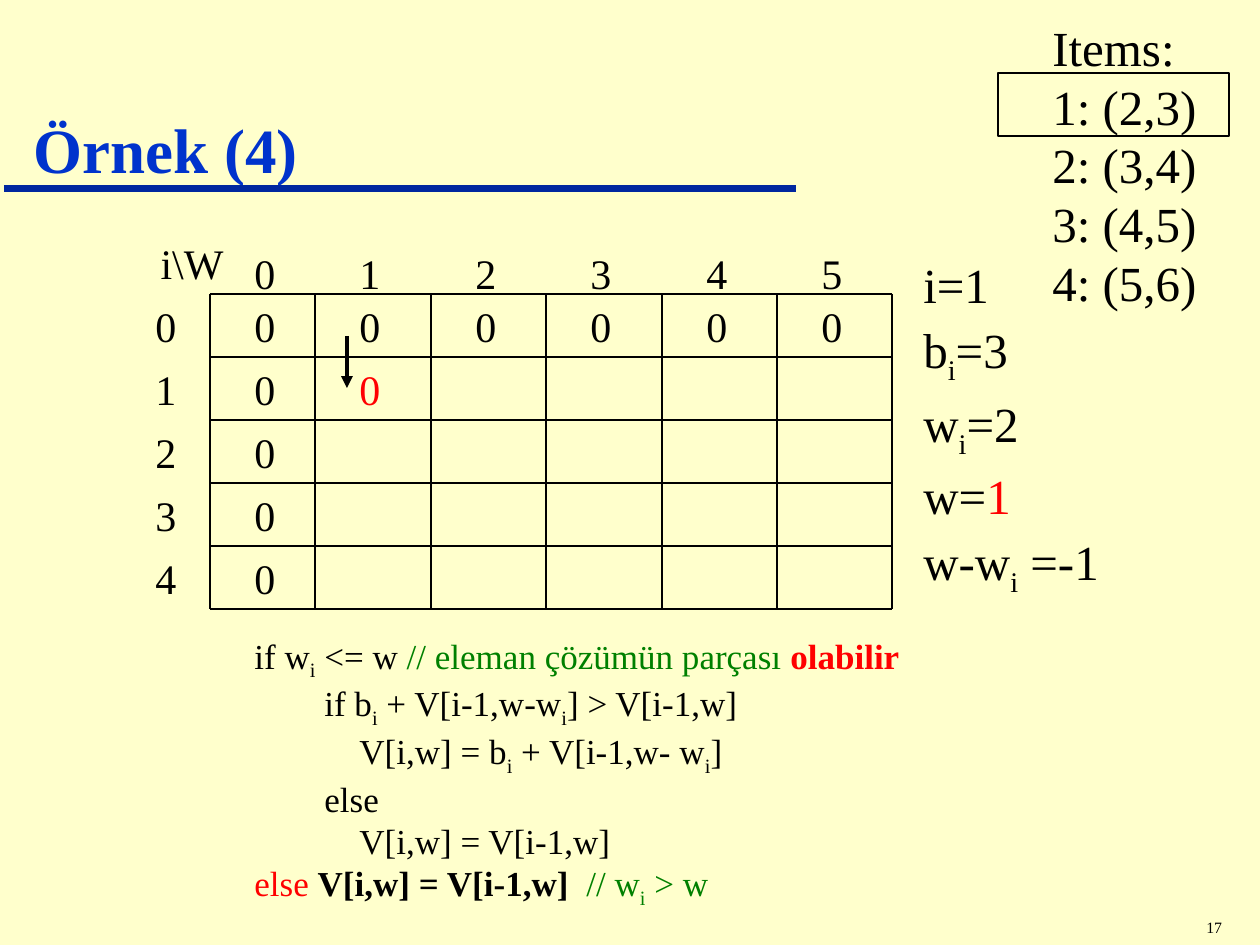
from pptx import Presentation
from pptx.dml.color import RGBColor
from pptx.enum.shapes import MSO_CONNECTOR, MSO_SHAPE
from pptx.enum.text import MSO_ANCHOR, PP_ALIGN
from pptx.oxml import parse_xml
from pptx.oxml.ns import nsdecls
from pptx.util import Emu, Pt

PX = 914400 // 126
FONT = "Times New Roman"
CREAM = RGBColor(0xFF, 0xFF, 0xCC)
BLACK = RGBColor(0x00, 0x00, 0x00)
RED = RGBColor(0xFF, 0x00, 0x00)
GREEN = RGBColor(0x00, 0x80, 0x00)
TITLE_BLUE = RGBColor(0x00, 0x33, 0xCC)
RULE_BLUE = RGBColor(0x00, 0x27, 0x9F)

# A line is a list of runs; a run is (text, format).
PLAIN = {}
BOLD = {"bold": True}
RED_TEXT = {"color": RED}
COMMENT = {"color": GREEN}
SUB_I = ("i", {"subscript": True})
COMMENT_SUB_I = ("i", {"subscript": True, "color": GREEN})

TITLE = "Örnek (4)"
PAGE_NUMBER = "17"
ITEMS = ["Items:", "1: (2,3)", "2: (3,4)", "3: (4,5)", "4: (5,6)"]
STATE = [
    [("i=1", PLAIN)],
    [("b", PLAIN), SUB_I, ("=3", PLAIN)],
    [("w", PLAIN), SUB_I, ("=2", PLAIN)],
    [("w=", PLAIN), ("1", RED_TEXT)],
    [("w-w", PLAIN), SUB_I, (" =-1", PLAIN)],
]
CODE = [  # (indent in px, runs)
    (0, [("if w", PLAIN), SUB_I, (" <= w ", PLAIN),
         ("// eleman çözümün parçası ", COMMENT),
         ("olabilir", {"color": RED, "bold": True})]),
    (70, [("if b", PLAIN), SUB_I, (" + V[i-1,w-w", PLAIN), SUB_I,
          ("] > V[i-1,w]", PLAIN)]),
    (105, [("V[i,w] = b", PLAIN), SUB_I, (" + V[i-1,w- w", PLAIN), SUB_I,
           ("]", PLAIN)]),
    (70, [("else", PLAIN)]),
    (105, [("V[i,w] = V[i-1,w]", PLAIN)]),
    (0, [("else ", RED_TEXT), ("V[i,w] = V[i-1,w]  ", BOLD),
         ("// w", COMMENT), COMMENT_SUB_I, (" > w", COMMENT)]),
]
CORNER = "i\\W"
CAPACITIES = ["0", "1", "2", "3", "4", "5"]
ITEM_ROWS = ["0", "1", "2", "3", "4"]
VALUES = [["0"] * 6, ["0", "0"], ["0"], ["0"], ["0"]]
CURRENT_CELL = (1, 1)

COLUMN_EDGES = [210, 315, 431, 546, 662, 777, 892]
ROW_EDGES = [294 + 63 * row for row in range(len(ITEM_ROWS) + 1)]
LABEL_WIDTH, LABEL_HEIGHT = 45, 63
COLUMN_TEXT_LEFTS = [edge + 32 for edge in COLUMN_EDGES[:-1]]
ROW_LABEL_LEFT, COLUMN_LABEL_TOP = 143, 241


def px(*lengths):
    return [Emu(length * PX) for length in lengths]


def fill_paragraph(paragraph, runs, size):
    for text, style in runs:
        run = paragraph.add_run()
        run.text = text
        font_format = {"name": FONT, "size": Pt(size), "bold": style.get("bold", False)}
        for attribute, value in font_format.items():
            setattr(run.font, attribute, value)
        run.font.color.rgb = style.get("color", BLACK)
        if style.get("subscript"):
            run.font._element.set("baseline", "-25000")


def add_text(slide, place, lines, size, indents=None, wrap=True, **paragraph_format):
    frame = slide.shapes.add_textbox(*px(*place)).text_frame
    frame.word_wrap = wrap
    for number, runs in enumerate(lines):
        paragraph = frame.add_paragraph() if number else frame.paragraphs[0]
        fill_paragraph(paragraph, runs, size)
        for attribute, value in paragraph_format.items():
            setattr(paragraph, attribute, value)
        if indents and indents[number]:
            paragraph._p.get_or_add_pPr().set("marL", str(indents[number] * PX))


def add_line(slide, ends, color, width, arrow=False):
    connector = slide.shapes.add_connector(MSO_CONNECTOR.STRAIGHT, *px(*ends))
    connector.line.color.rgb = color
    connector.line.width = Pt(width)
    if arrow:
        connector.line._get_or_add_ln().append(
            parse_xml(f'<a:tailEnd {nsdecls("a")} type="triangle"/>'))
    connector._element.spPr.append(parse_xml(f'<a:effectLst {nsdecls("a")}/>'))


def add_grid_lines(slide):
    left, right = COLUMN_EDGES[0], COLUMN_EDGES[-1]
    top, bottom = ROW_EDGES[0], ROW_EDGES[-1]
    verticals = [(x, top, x, bottom) for x in COLUMN_EDGES]
    horizontals = [(left, y, right, y) for y in ROW_EDGES]
    for ends in verticals + horizontals:
        add_line(slide, ends, BLACK, 0.75)


def add_grid_text(slide):
    entries = [(left, COLUMN_LABEL_TOP, label, PLAIN)
               for left, label in zip(COLUMN_TEXT_LEFTS, CAPACITIES)]
    entries += [(ROW_LABEL_LEFT, top, label, PLAIN)
                for top, label in zip(ROW_EDGES, ITEM_ROWS)]
    for row, values in enumerate(VALUES):
        for column, value in enumerate(values):
            style = RED_TEXT if (row, column) == CURRENT_CELL else PLAIN
            entries.append((COLUMN_TEXT_LEFTS[column], ROW_EDGES[row], value, style))
    for left, top, text, style in entries:
        add_text(slide, (left, top, LABEL_WIDTH, LABEL_HEIGHT), [[(text, style)]], 24,
                 wrap=False)
    add_text(slide, (145, 231, 94, 63), [[(CORNER, PLAIN)]], 24,
             alignment=PP_ALIGN.CENTER)


def add_title(slide):
    title = slide.shapes.title
    title.left, title.top, title.width, title.height = px(21, 39, 819, 153)
    title.text_frame.vertical_anchor = MSO_ANCHOR.BOTTOM
    paragraph = title.text_frame.paragraphs[0]
    paragraph.alignment = PP_ALIGN.LEFT
    fill_paragraph(paragraph, [(TITLE, {"color": TITLE_BLUE, "bold": True})], 36)


def main():
    presentation = Presentation()
    presentation.slide_width, presentation.slide_height = px(1260, 945)
    slide = presentation.slides.add_slide(presentation.slide_layouts[5])
    slide.background.fill.solid()
    slide.background.fill.fore_color.rgb = CREAM

    add_line(slide, (4, 189, 796, 189), RULE_BLUE, 4)
    add_title(slide)
    add_text(slide, (1194, 912, 66, 32), [[(PAGE_NUMBER, PLAIN)]], 9)
    add_text(slide, (242, 628, 955, 289), [runs for _, runs in CODE], 20,
             indents=[indent for indent, _ in CODE])
    add_text(slide, (1040, 11, 181, 307), [[(item, PLAIN)] for item in ITEMS], 28,
             wrap=False)
    current_item = slide.shapes.add_shape(MSO_SHAPE.RECTANGLE, *px(998, 73, 231, 63))
    current_item.shadow.inherit = False
    current_item.fill.background()
    current_item.line.color.rgb = BLACK
    current_item.line.width = Pt(0.75)
    add_text(slide, (911, 242, 203, 363), STATE, 28, line_spacing=1.1)

    add_grid_lines(slide)
    add_grid_text(slide)
    add_line(slide, (347, 336, 347, 388), BLACK, 2.25, arrow=True)
    presentation.save("out.pptx")


if __name__ == "__main__":
    main()
